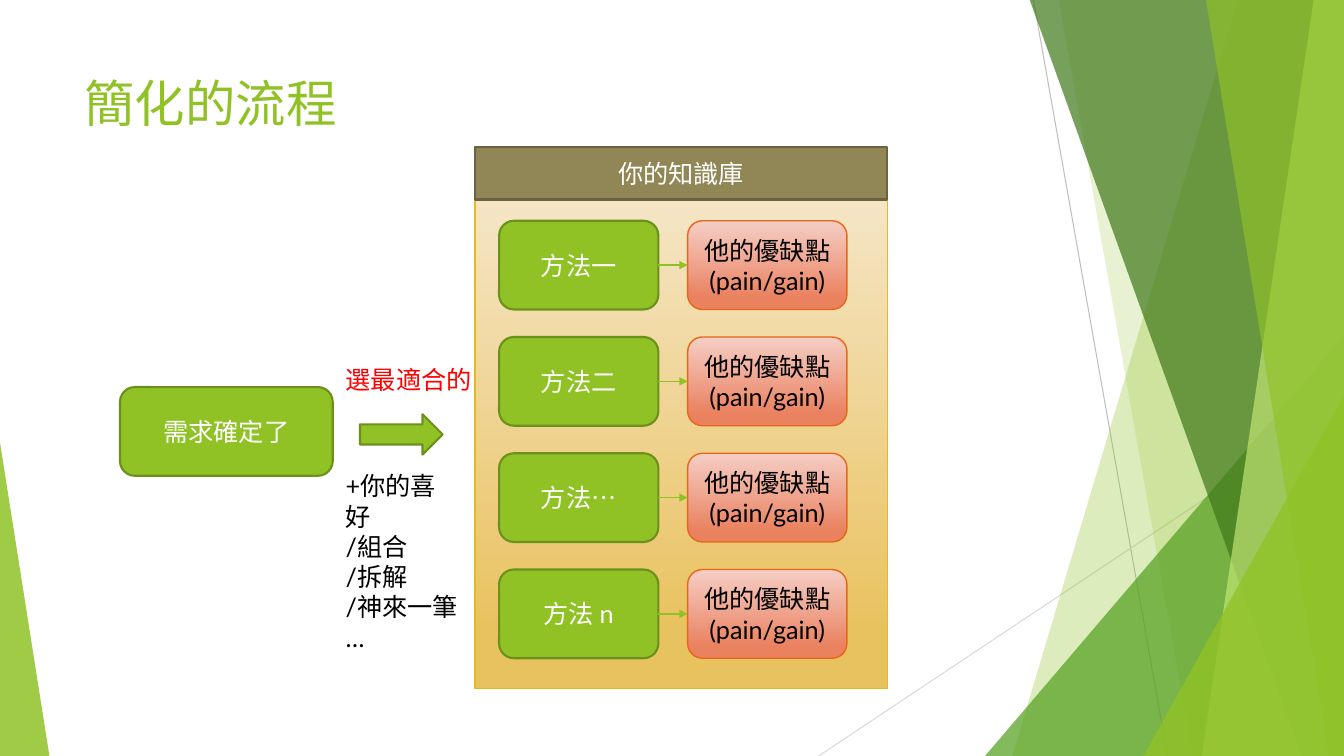
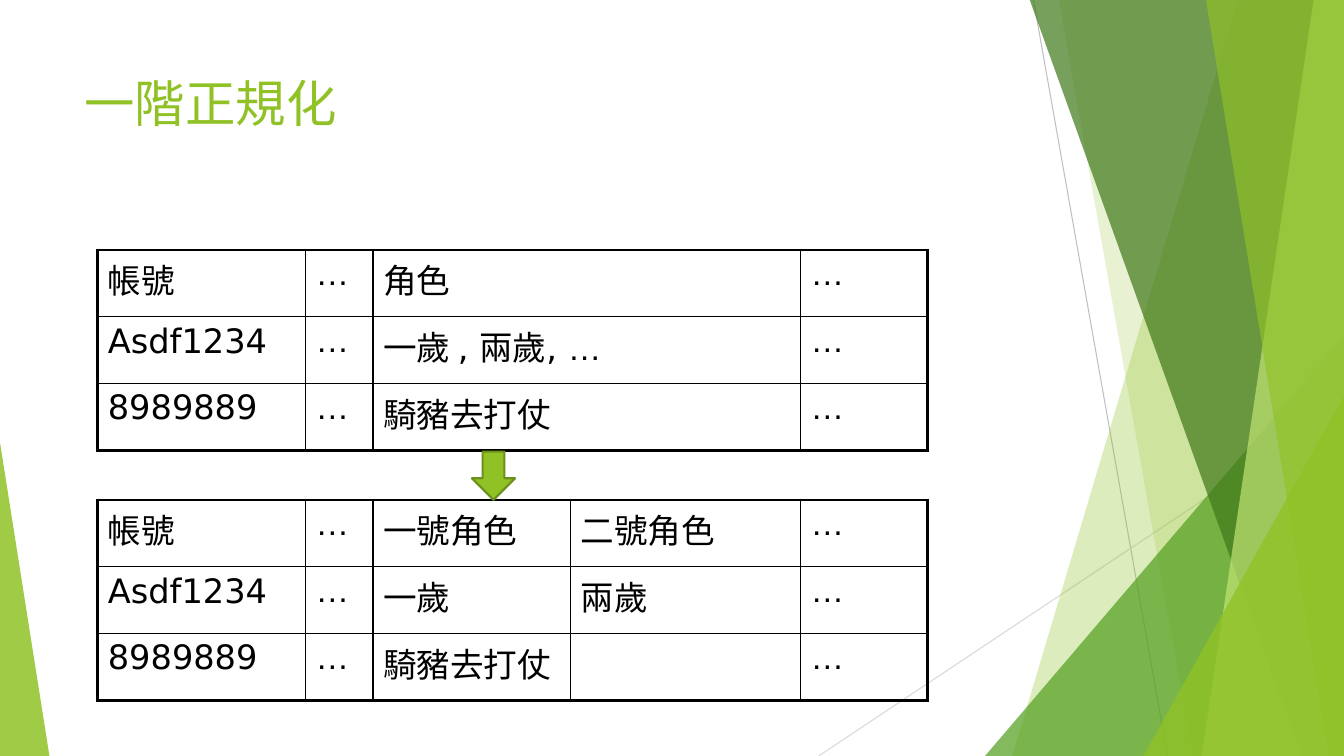
import itertools
import pptx
import pptx.util
import pptx.dml.color
import pptx.enum.shapes
import pptx.enum.text
import pptx.oxml
import pptx.oxml.ns

Inches = pptx.util.Inches
Pt = pptx.util.Pt
RGB = pptx.dml.color.RGBColor
SHAPE = pptx.enum.shapes.MSO_SHAPE
ALIGN = pptx.enum.text.PP_ALIGN
ANCHOR = pptx.enum.text.MSO_ANCHOR
NS = pptx.oxml.ns.nsdecls("a")

# Colours
WHITE = RGB(0xFF, 0xFF, 0xFF)
BLACK = RGB(0, 0, 0)
RED = RGB(0xFF, 0, 0)
LIME = RGB(0x90, 0xC2, 0x26)
MOSS = RGB(0x6B, 0x90, 0x1C)
LEAF = RGB(0x54, 0xA0, 0x21)
PINE = RGB(0x3F, 0x78, 0x19)
PALE = RGB(0xC0, 0xE4, 0x74)
GREY = RGB(0xBF, 0xBF, 0xBF)
MIST = RGB(0xD9, 0xD9, 0xD9)
GOLD = RGB(0xE6, 0xB9, 0x1E)
SAND = [RGB(0xF5, 0xE5, 0xC5), RGB(0xE9, 0xC2, 0x60)]
OLIVE = RGB(0x91, 0x86, 0x55)
BARK = RGB(0x6B, 0x63, 0x3F)
ROSE = [RGB(0xF5, 0xCE, 0xC5), RGB(0xEA, 0x81, 0x5F)]
RUST = RGB(0xE7, 0x66, 0x18)

FONT = "Lato"
GRID = "DejaVu Sans"
DOTS = "Arial"
WIDE, HIGH = 13.33, 7.5


def style(frame, size, color, align=ALIGN.LEFT):
    for para in frame.paragraphs:
        para.alignment = align
        for run in para.runs:
            run.font.size = Pt(size)
            run.font.name = FONT
            run.font.color.rgb = color


def label(slide, box, text, size, color, wrap=True):
    frame = slide.shapes.add_textbox(*map(Inches, box)).text_frame
    frame.word_wrap = wrap
    frame.text = text
    style(frame, size, color)


def block(slide, kind, box, fill, edge, width=1.5, text="", color=WHITE):
    """Outlined shape; a list of two colours as fill gives a gradient."""
    shape = slide.shapes.add_shape(kind, *map(Inches, box))
    shape.shadow.inherit = False
    if isinstance(fill, list):
        shape.fill.gradient()
        shape.fill.gradient_angle = 270
        for stop, tint, place in zip(shape.fill.gradient_stops, fill, (0, 0.88)):
            stop.color.rgb = tint
            stop.position = place
    else:
        shape.fill.solid()
        shape.fill.fore_color.rgb = fill
    shape.line.color.rgb = edge
    shape.line.width = Pt(width)
    if text:
        frame = shape.text_frame
        frame.word_wrap = True
        frame.vertical_anchor = ANCHOR.MIDDLE
        frame.text = text
        style(frame, 18, color, ALIGN.CENTER)


def line(slide, start, end, color, width, head=False):
    link = slide.shapes.add_connector(
        pptx.enum.shapes.MSO_CONNECTOR.STRAIGHT, *map(Inches, start + end))
    link.line.color.rgb = color
    link.line.width = Pt(width)
    props = link._element.spPr
    if head:
        tip = pptx.oxml.parse_xml(f'<a:tailEnd {NS} type="triangle"/>')
        props.find(pptx.oxml.ns.qn("a:ln")).append(tip)
    props.append(pptx.oxml.parse_xml(f"<a:effectLst {NS}/>"))


# Background facets
def glaze(shape, color, alpha):
    shape.shadow.inherit = False
    shape.fill.solid()
    shape.fill.fore_color.rgb = color
    shape.line.fill.background()
    tint = shape._element.spPr.find(".//" + pptx.oxml.ns.qn("a:srgbClr"))
    tint.append(pptx.oxml.parse_xml(f'<a:alpha {NS} val="{alpha * 1000}"/>'))


def band(slide, top, foot, color, alpha):
    """Facet from a slanted left side to the right slide edge."""
    draft = slide.shapes.build_freeform(Inches(top), Inches(-0.01), 1.0)
    rest = [(WIDE, -0.01), (WIDE, HIGH), (foot, HIGH)]
    draft.add_line_segments([(Inches(x), Inches(y)) for x, y in rest])
    glaze(draft.convert_to_shape(), color, alpha)


def wedge(slide, left, top, width, peak, color, alpha):
    """Triangle standing on the bottom slide edge."""
    box = (left, top, width, HIGH - top)
    shape = slide.shapes.add_shape(SHAPE.ISOSCELES_TRIANGLE, *map(Inches, box))
    shape.adjustments[0] = peak
    glaze(shape, color, alpha)


def base(deck, title):
    """New slide with the shared background and title."""
    slide = deck.slides.add_slide(deck.slide_layouts[6])
    line(slide, (10.25, 0), (11.58, HIGH), GREY, 0.75)
    line(slide, (WIDE, 4.03), (8.12, HIGH), MIST, 0.75)
    band(slide, 12.28, 10.04, LIME, 30)
    band(slide, 10.5, 11.83, LIME, 20)
    wedge(slide, 9.77, 3.33, 3.56, 1, LEAF, 72)
    band(slide, 10.21, 12.91, PINE, 70)
    band(slide, 13.03, 11.92, PALE, 70)
    band(slide, 11.96, 13.18, LIME, 65)
    wedge(slide, 11.34, 3.93, 1.99, 1, LIME, 80)
    wedge(slide, 0, 4.39, 0.49, 0, LIME, 85)
    label(slide, (0.74, 0.67, 9.4, 1.44), title, 36, LIME)
    return slide


# Flow slide
def store(slide, x, y, w, h, names):
    """Panel with a header and one method row per name."""
    head = 0.52
    block(slide, SHAPE.RECTANGLE, (x, y + head, w, h - head), SAND, GOLD, 1)
    block(slide, SHAPE.RECTANGLE, (x, y, w, head), OLIVE, BARK, text="你的知識庫")
    wide, high, gap = 1.58, 0.88, 0.29
    left = x + 0.24
    right = left + wide + gap
    first, last = y + 0.73, y + h - 1.18
    step = (last - first) / (len(names) - 1)
    for i, name in enumerate(names):
        top = first + i * step
        mid = top + high / 2
        block(slide, SHAPE.ROUNDED_RECTANGLE, (left, top, wide, high),
              LIME, MOSS, text=name)
        block(slide, SHAPE.ROUNDED_RECTANGLE, (right, top, wide, high),
              ROSE, RUST, 1, "他的優缺點\n(pain/gain)", BLACK)
        line(slide, (left + wide, mid), (right, mid), LIME, 1, head=True)


def choice(slide, x, y):
    """Need box, arrow and the notes above and below it."""
    block(slide, SHAPE.ROUNDED_RECTANGLE, (x, y, 2.11, 0.88),
          LIME, MOSS, text="需求確定了")
    block(slide, SHAPE.RIGHT_ARROW, (x + 2.38, y + 0.27, 0.82, 0.4), LIME, MOSS)
    label(slide, (x + 2.14, y - 0.27, 1.46, 0.4), "選最適合的", 18, RED, False)
    label(slide, (x + 2.14, y + 0.78, 1.34, 1.62),
          "+你的喜好\n/組合\n/拆解\n/神來一筆\n…", 18, BLACK)


def flow(deck):
    slide = base(deck, "簡化的流程")
    store(slide, 4.71, 1.46, 4.09, 5.37, ["方法一", "方法二", "方法…", "方法 n"])
    choice(slide, 1.19, 3.84)


# Table slide
def edges(cell, thick):
    """Black borders: heavy on the sides named in thick."""
    props = cell._tc.get_or_add_tcPr()
    for i, side in enumerate("LRTB"):
        width = Pt(2.25 if side in thick else 1)
        props.insert(i, pptx.oxml.parse_xml(
            f'<a:ln{side} {NS} w="{int(width)}"><a:solidFill>'
            f'<a:srgbClr val="{BLACK}"/></a:solidFill></a:ln{side}>'))


def write(cell, text):
    """Cell text, with the dots in their own font."""
    para = cell.text_frame.paragraphs[0]
    para.font.size = Pt(24)
    for dots, chars in itertools.groupby(text, lambda c: c == "…"):
        run = para.add_run()
        run.text = "".join(chars)
        run.font.size = Pt(24)
        run.font.name = DOTS if dots else GRID
        run.font.color.rgb = BLACK


def grid(slide, x, y, cols, rows):
    high = 1.99
    table = slide.shapes.add_table(
        len(rows), len(cols), *map(Inches, (x, y, sum(cols), high))).table
    table.first_row = table.horz_banding = False
    for col, width in zip(table.columns, cols):
        col.width = Inches(width)
    for r, row in enumerate(rows):
        for c, text in enumerate(row):
            cell = table.cell(r, c)
            cell.fill.background()
            sides = {"L": c == 0, "R": c == len(cols) - 1,
                     "T": r == 0, "B": r == len(rows) - 1}
            edges(cell, [side for side, on in sides.items() if on])
            write(cell, text)


def norm(deck):
    slide = base(deck, "一階正規化")
    grid(slide, 0.97, 2.48, [2.06, 0.67, 4.24, 1.26], [
        ["帳號", "…", "角色", "…"],
        ["Asdf1234", "…", "一歲 , 兩歲, …", "…"],
        ["8989889", "…", "騎豬去打仗", "…"]])
    grid(slide, 0.97, 4.96, [2.06, 0.67, 1.96, 2.28, 1.26], [
        ["帳號", "…", "一號角色", "二號角色", "…"],
        ["Asdf1234", "…", "一歲", "兩歲", "…"],
        ["8989889", "…", "騎豬去打仗", "", "…"]])
    block(slide, SHAPE.DOWN_ARROW, (4.68, 4.48, 0.43, 0.48), LIME, MOSS)


def main():
    deck = pptx.Presentation()
    deck.slide_width = Inches(WIDE)
    deck.slide_height = Inches(HIGH)
    flow(deck)
    norm(deck)
    deck.save("out.pptx")


if __name__ == "__main__":
    main()
